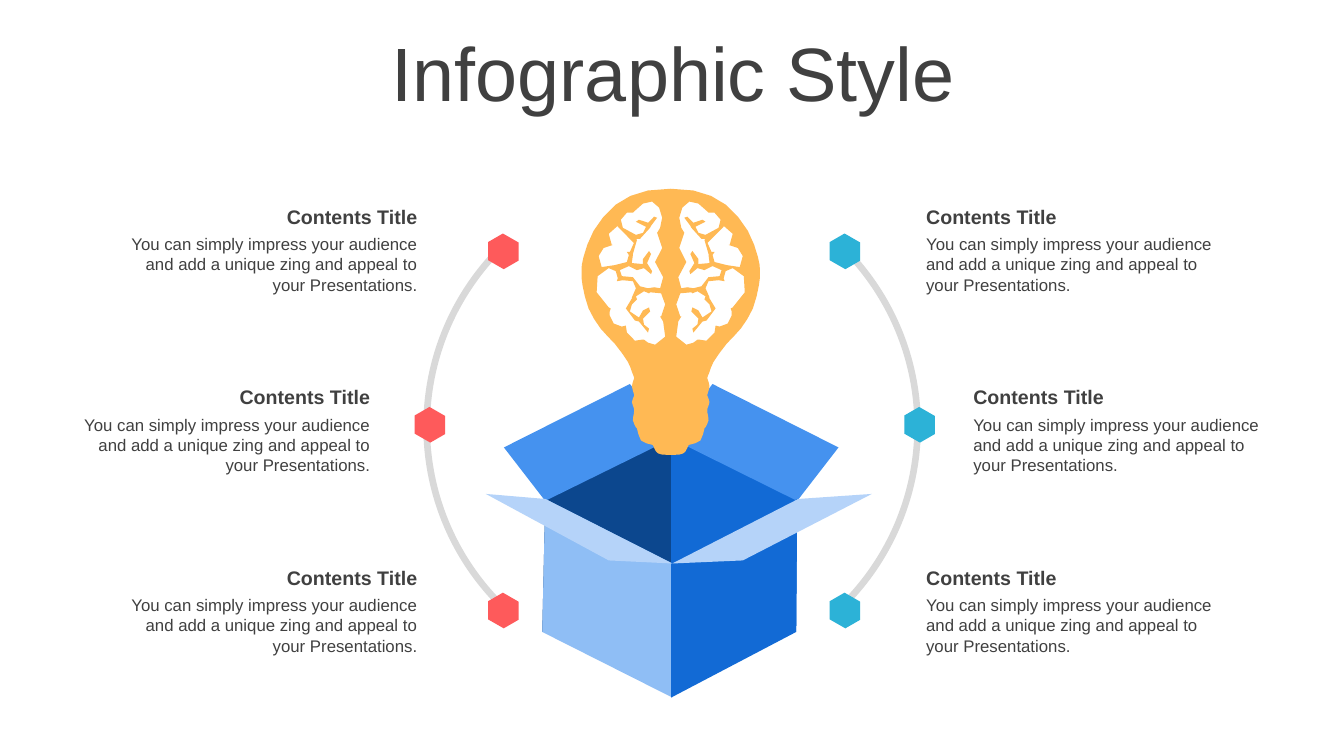
"""Build an infographic slide with an idea bulb rising from an open box."""
from pptx import Presentation
from pptx import util as u
from pptx.dml import color
from pptx.enum import shapes, text

HUNDREDTH_INCH = u.Cm(0.0254)
AXIS_DOUBLED = 1331
TITLE = "Contents Title"
BODY = "You can simply impress your audience and add a unique zing and appeal to your Presentations."

BOX_FACES = [
    ("0C478E", [(667, 434), (667, 593), (538, 627), (541, 495)]),
    ("126AD5", [(666, 434), (666, 594), (790, 627), (791, 495)]),
    ("4592EF", [(667, 435), (625, 381), (500, 444), (541, 497)]),
    ("4592EF", [(707, 381), (666, 435), (791, 497), (832, 444)]),
    ("8FBEF5", [(667, 559), (667, 692), (538, 627), (541, 495)]),
    ("126AD5", [(790, 627), (666, 692), (666, 559), (791, 495)]),
    ("B5D3F9", [(667, 559), (737, 556), (865, 490), (792, 495)]),
    ("B5D3F9", [(541, 495), (667, 559), (604, 556), (482, 490)]),
]

BULB_HALF = [
    (657, 451), (651, 448), (648, 442), (646, 441), (636, 437), (632, 425), (631, 424),
    (628, 417), (629, 410), (629, 405), (627, 399), (629, 393), (629, 391), (627, 383),
    (629, 376), (629, 374), (627, 369), (623, 359), (610, 341), (596, 326), (584, 306),
    (578, 283), (577, 269), (579, 255), (589, 229), (611, 203), (643, 189),
]

BRAIN_LOBES = [
    [(632, 297), (627, 302), (625, 309), (634, 315), (638, 308), (644, 305), (645, 309),
     (638, 316), (639, 322), (644, 326), (643, 330), (634, 319), (630, 318), (621, 306),
     (627, 296), (627, 295), (631, 286), (628, 279), (618, 278), (612, 279), (613, 276),
     (611, 269), (604, 266), (593, 274), (592, 290), (604, 305), (606, 306), (605, 309),
     (605, 313), (609, 321), (617, 324), (621, 323), (622, 330), (630, 338), (637, 337),
     (639, 337), (643, 340), (650, 342), (660, 334), (658, 319), (655, 314), (656, 314),
     (660, 302), (656, 291), (645, 290), (644, 291), (639, 289), (631, 294)],
    [(652, 216), (646, 224), (645, 226), (635, 237), (631, 237), (632, 238), (628, 252),
     (628, 253), (627, 260), (627, 261), (638, 262), (638, 261), (638, 257), (644, 249),
     (646, 252), (642, 261), (647, 269), (646, 272), (639, 266), (632, 268), (624, 264),
     (615, 268), (617, 274), (628, 275), (635, 284), (643, 286), (649, 285), (655, 286),
     (658, 275), (650, 260), (657, 246), (652, 231), (655, 226), (657, 216), (654, 206),
     (647, 200), (638, 202), (629, 210), (628, 211), (622, 211), (616, 218), (618, 226),
     (631, 233), (638, 231), (641, 225), (631, 220), (634, 218), (643, 221), (649, 215)],
    [(622, 250), (625, 250), (629, 241), (624, 236), (613, 225), (613, 224), (604, 232),
     (607, 243), (608, 243), (599, 246), (594, 254), (597, 265), (610, 263), (622, 260),
     (624, 253)],
]


def rgb(value):
    """Turn a hex string into a colour."""
    return color.RGBColor.from_string(value)


def mirrored(points):
    """Reflect points across the bulb's vertical axis, in reverse order."""
    return [(AXIS_DOUBLED - x, y) for x, y in reversed(points)]


def smoothed(points, steps=2):
    """Sample a closed Catmull-Rom curve through the points."""
    curve = []
    count = len(points)
    for index in range(count):
        neighbours = [points[(index + shift) % count] for shift in (-1, 0, 1, 2)]
        for step in range(steps):
            t = step / steps
            curve.append(tuple(
                b + t * (c - a) / 2 + t * t * (a - 2.5 * b + 2 * c - d / 2)
                + t ** 3 * (3 * b - a - 3 * c + d) / 2
                for a, b, c, d in zip(*neighbours)))
    return curve


class SlideBuilder:
    """Hold the style and the current slide."""

    font = "Arial"
    ink = "404040"

    def __init__(self, presentation):
        """Add a title-only slide."""
        self.slide = presentation.slides.add_slide(presentation.slide_layouts[5])

    def style_text(self, paragraph, size, bold, align):
        """Format one paragraph."""
        paragraph.alignment = align
        paragraph.font.name = self.font
        paragraph.font.size = u.Pt(size)
        paragraph.font.bold = bold
        paragraph.font.color.rgb = rgb(self.ink)

    def title(self, words, left, top, width, height):
        """Place and format the title placeholder."""
        shape = self.slide.shapes.title
        shape.left, shape.top = u.Cm(left), u.Cm(top)
        shape.width, shape.height = u.Cm(width), u.Cm(height)
        frame = shape.text_frame
        frame.text = words
        frame.auto_size = text.MSO_AUTO_SIZE.NONE
        frame.vertical_anchor = text.MSO_ANCHOR.MIDDLE
        self.style_text(frame.paragraphs[0], 54, False, text.PP_ALIGN.CENTER)
        frame.paragraphs[0].line_spacing = 0.9

    def text_box(self, words, left, top, width, height, size, bold, align):
        """Add a wrapped text box."""
        shape = self.slide.shapes.add_textbox(u.Cm(left), u.Cm(top), u.Cm(width), u.Cm(height))
        frame = shape.text_frame
        frame.word_wrap = True
        frame.text = words
        self.style_text(frame.paragraphs[0], size, bold, align)

    def paint(self, shape, fill):
        """Give a shape a flat fill without line or shadow."""
        shape.shadow.inherit = False
        shape.fill.solid()
        shape.fill.fore_color.rgb = rgb(fill)
        shape.line.fill.background()

    def preset(self, kind, left, top, width, height, fill, adjustments, rotation=0):
        """Add a preset shape."""
        shape = self.slide.shapes.add_shape(
            kind, u.Cm(left), u.Cm(top), u.Cm(width), u.Cm(height))
        for index, value in enumerate(adjustments):
            shape.adjustments[index] = value
        shape.rotation = rotation
        self.paint(shape, fill)

    def outline(self, contours, fill):
        """Add a freeform whose inner contours are holes."""
        scaled = [[(x * HUNDREDTH_INCH, y * HUNDREDTH_INCH) for x, y in contour]
                  for contour in contours]
        builder = self.slide.shapes.build_freeform(*scaled[0][0], scale=1)
        for index, contour in enumerate(scaled):
            if index:
                builder.move_to(*contour[0])
            builder.add_line_segments(contour[1:], close=True)
        self.paint(builder.convert_to_shape(), fill)


def main():
    """Build and save the slide."""
    presentation = Presentation()
    presentation.slide_width, presentation.slide_height = u.Cm(33.87), u.Cm(19.05)
    builder = SlideBuilder(presentation)
    builder.title("Infographic Style", 0.89, 0.94, 32.16, 2.01)

    for fill, face in BOX_FACES:
        builder.outline([face], fill)
    bulb = smoothed(BULB_HALF + mirrored(BULB_HALF))
    lobes = BRAIN_LOBES + [mirrored(lobe) for lobe in BRAIN_LOBES]
    builder.outline([bulb] + lobes, "FFB954")

    right, left = text.PP_ALIGN.RIGHT, text.PP_ALIGN.LEFT
    for align, columns in ((left, (23.09, 24.28, 23.09)), (right, (2.87, 1.68, 2.87))):
        for row, column in enumerate(columns):
            top = 5.03 + 4.55 * row
            builder.text_box(BODY, column, top + 0.74, 7.9, 1.8, 12, False, align)
            builder.text_box(TITLE, column, top, 7.9, 0.86, 14, True, align)

    sides = (
        (10.67, (81.19, 135.84, 0.013), "FE5A5B", (12.24, 10.39, 12.24)),
        (10.36, (188.16, 26.81, 0.013), "2CB2D7", (20.85, 22.73, 20.85)),
    )
    for arc_left, angles, fill, columns in sides:
        builder.preset(shapes.MSO_SHAPE.BLOCK_ARC, arc_left, 4.32, 12.85, 12.85, "D9D9D9", angles)
        for column, top in zip(columns, (5.94, 10.31, 14.99)):
            builder.preset(shapes.MSO_SHAPE.HEXAGON, column, top, 0.89, 0.79, fill, (0.29,), 330)

    presentation.save("out.pptx")


if __name__ == "__main__":
    main()
